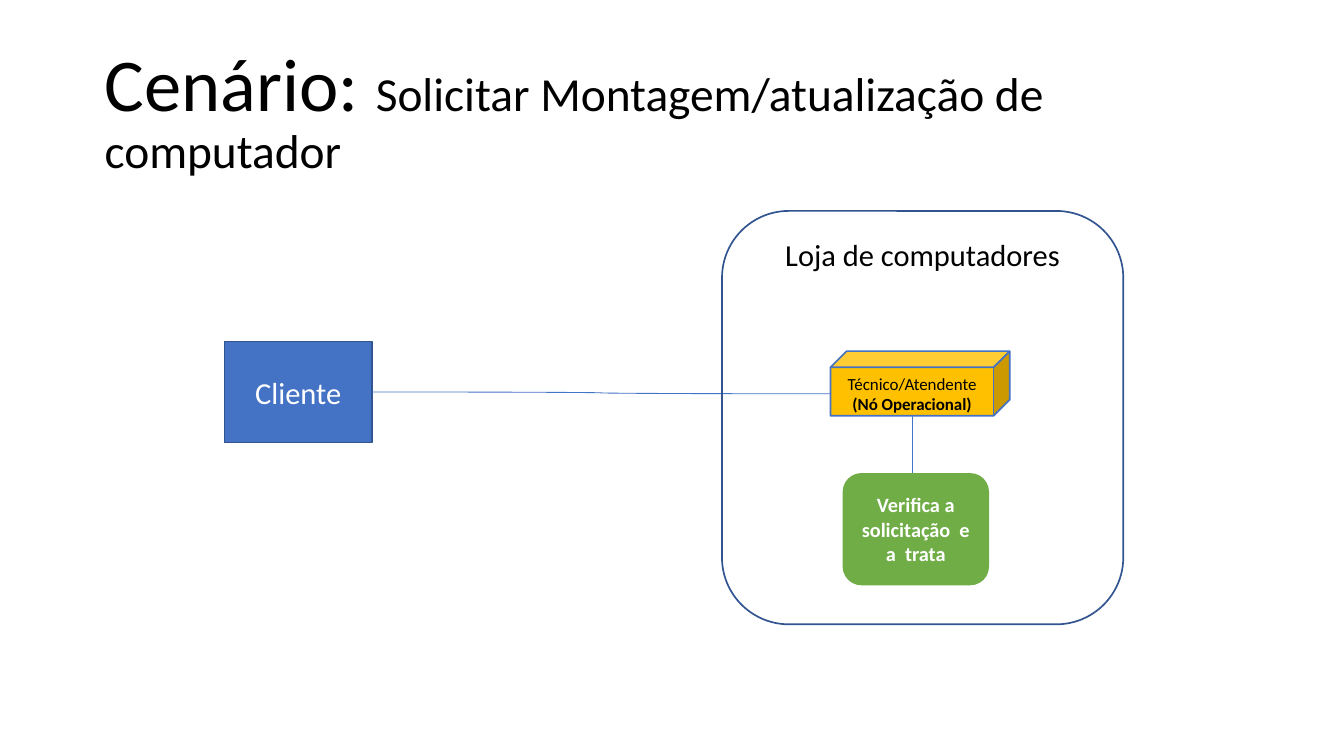
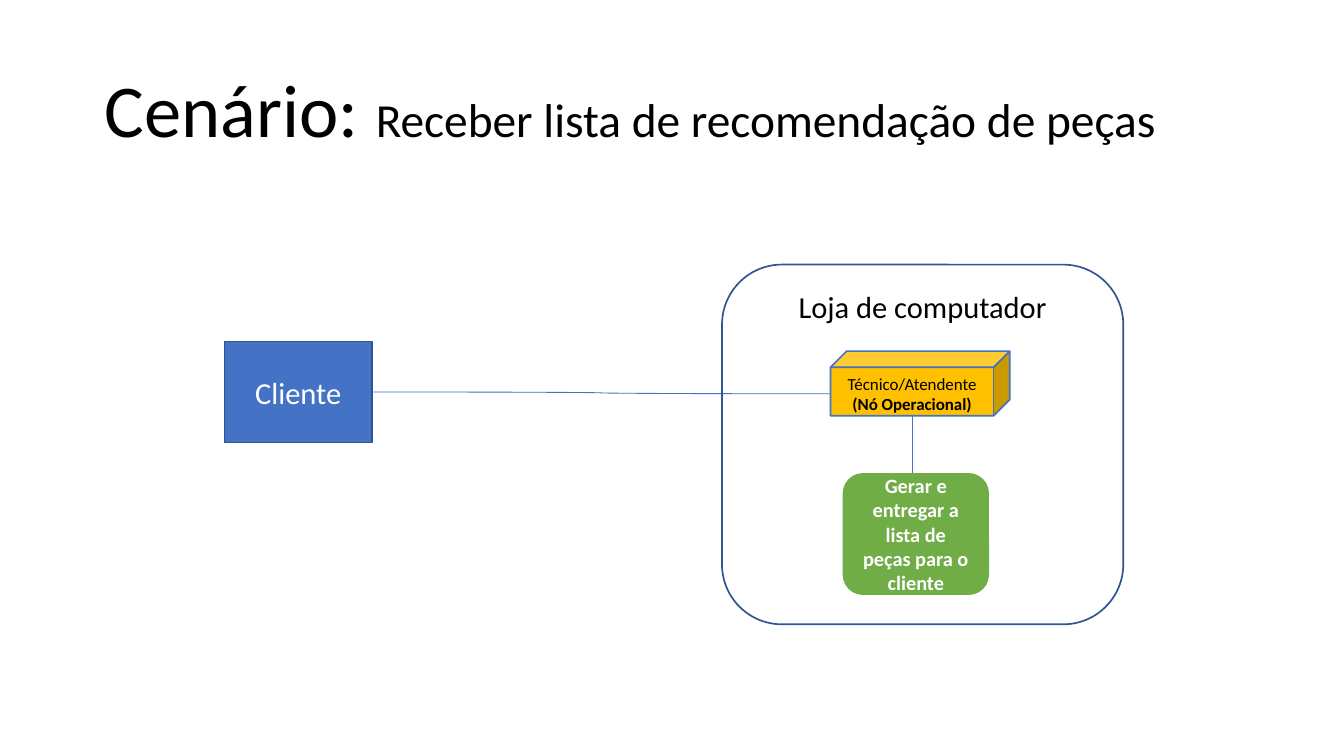
from dataclasses import dataclass

from lxml import etree
from pptx import Presentation
from pptx.dml.color import RGBColor
from pptx.enum import shapes, text
from pptx.oxml import ns
from pptx.util import Inches, Pt


@dataclass(frozen=True)
class Theme:
    font: str = "Calibri"
    black: str = "000000"
    white: str = "FFFFFF"
    blue: str = "4472C4"
    navy: str = "325490"
    amber: str = "FFC000"
    green: str = "70AD47"
    title: int = 44
    subtitle: int = 28
    label: int = 18
    action: int = 12
    node: int = 10
    outline: float = 1
    link: float = 0.5


@dataclass(frozen=True)
class Box:
    x: float
    y: float
    w: float
    h: float

    @property
    def right(self):
        return self.x + self.w

    @property
    def bottom(self):
        return self.y + self.h

    def lengths(self):
        return [Inches(v) for v in (self.x, self.y, self.w, self.h)]


T = Theme()
KIND = shapes.MSO_SHAPE
LINK = shapes.MSO_CONNECTOR
TOP, MIDDLE = text.MSO_ANCHOR.TOP, text.MSO_ANCHOR.MIDDLE
CUBE_DEPTH = 0.25

# Places shared by both scenarios
TITLE = Box(0.76, 0.33, 9.51, 1.2)
CLIENT = Box(1.84, 2.8, 1.21, 0.83)
NODE = Box(6.81, 2.88, 1.47, 0.53)
STORE_X, STORE_W, STORE_BOTTOM = 5.92, 3.29, 5.12
ACTION_X, ACTION_Y, ACTION_W = 6.91, 3.88, 1.2


def style_run(r, size, color, bold=False):
    r.font.name, r.font.size, r.font.bold = T.font, Pt(size), bold
    r.font.color.rgb = RGBColor.from_string(color)


def add_title(s, box, heading, subject):
    tf = s.shapes.add_textbox(*box.lengths()).text_frame
    tf.word_wrap, tf.vertical_anchor = True, MIDDLE
    p = tf.paragraphs[0]
    p.line_spacing = 0.9
    for words, size in ((heading, T.title), (subject, T.subtitle)):
        r = p.add_run()
        r.text = words
        style_run(r, size, T.black)


def add_block(s, kind, box, words, size, color, fill=None, line=None,
              anchor=MIDDLE, bold_from=None):
    """Labelled shape; paragraphs from index bold_from on are bold."""
    sp = s.shapes.add_shape(kind, *box.lengths())
    sp.shadow.inherit = False
    for part, tint in ((sp.fill, fill), (sp.line.fill, line)):
        if tint:
            part.solid()
            part.fore_color.rgb = RGBColor.from_string(tint)
        else:
            part.background()
    if line:
        sp.line.width = Pt(T.outline)
    tf = sp.text_frame
    tf.word_wrap, tf.vertical_anchor = True, anchor
    tf.text = words
    for i, p in enumerate(tf.paragraphs):
        p.alignment = text.PP_ALIGN.CENTER
        bold = bold_from is not None and i >= bold_from
        style_run(p.runs[0], size, color, bold)
    return sp


def add_link(s, kind, start, end):
    c = s.shapes.add_connector(kind, *[Inches(v) for v in (*start, *end)])
    c.line.color.rgb = RGBColor.from_string(T.blue)
    c.line.width = Pt(T.link)
    etree.SubElement(c._element.spPr, ns.qn("a:effectLst"))


def add_scenario(prs, subject, store, store_y, action, action_h):
    s = prs.slides.add_slide(prs.slide_layouts[6])
    add_title(s, TITLE, "Cenário: ", subject)

    # Operational node and the action it performs
    sp = add_block(s, KIND.CUBE, NODE, "Técnico/Atendente\n(Nó Operacional)",
                   T.node, T.black, T.amber, T.blue, TOP, bold_from=1)
    sp.adjustments[0] = CUBE_DEPTH
    add_block(s, KIND.ROUNDED_RECTANGLE,
              Box(ACTION_X, ACTION_Y, ACTION_W, action_h), action,
              T.action, T.white, T.green, bold_from=0)

    # Client and its link to the node
    add_block(s, KIND.RECTANGLE, CLIENT, "Cliente", T.label, T.white,
              T.blue, T.navy)
    add_link(s, LINK.CURVE, (CLIENT.right, CLIENT.y + CLIENT.h / 2),
             (NODE.x, NODE.y + 0.35))

    # Store frame around node and action
    add_block(s, KIND.ROUNDED_RECTANGLE,
              Box(STORE_X, store_y, STORE_W, STORE_BOTTOM - store_y), store,
              T.label, T.black, line=T.navy, anchor=TOP)

    # Link from the middle of the cube's front face down to the action
    front_x = NODE.x + (NODE.w - CUBE_DEPTH * NODE.h) / 2
    add_link(s, LINK.STRAIGHT, (front_x, NODE.bottom), (front_x, ACTION_Y))


prs = Presentation()
prs.slide_width, prs.slide_height = Inches(11.02), Inches(6.2)
add_scenario(prs, "Solicitar Montagem/atualização de computador",
             "Loja de computadores", 1.73,
             "Verifica a solicitação  e a  trata", 0.92)
add_scenario(prs, "Receber lista de recomendação de peças",
             "Loja de computador", 2.17,
             "Gerar e entregar a lista de peças para o cliente", 1)
prs.save("out.pptx")
